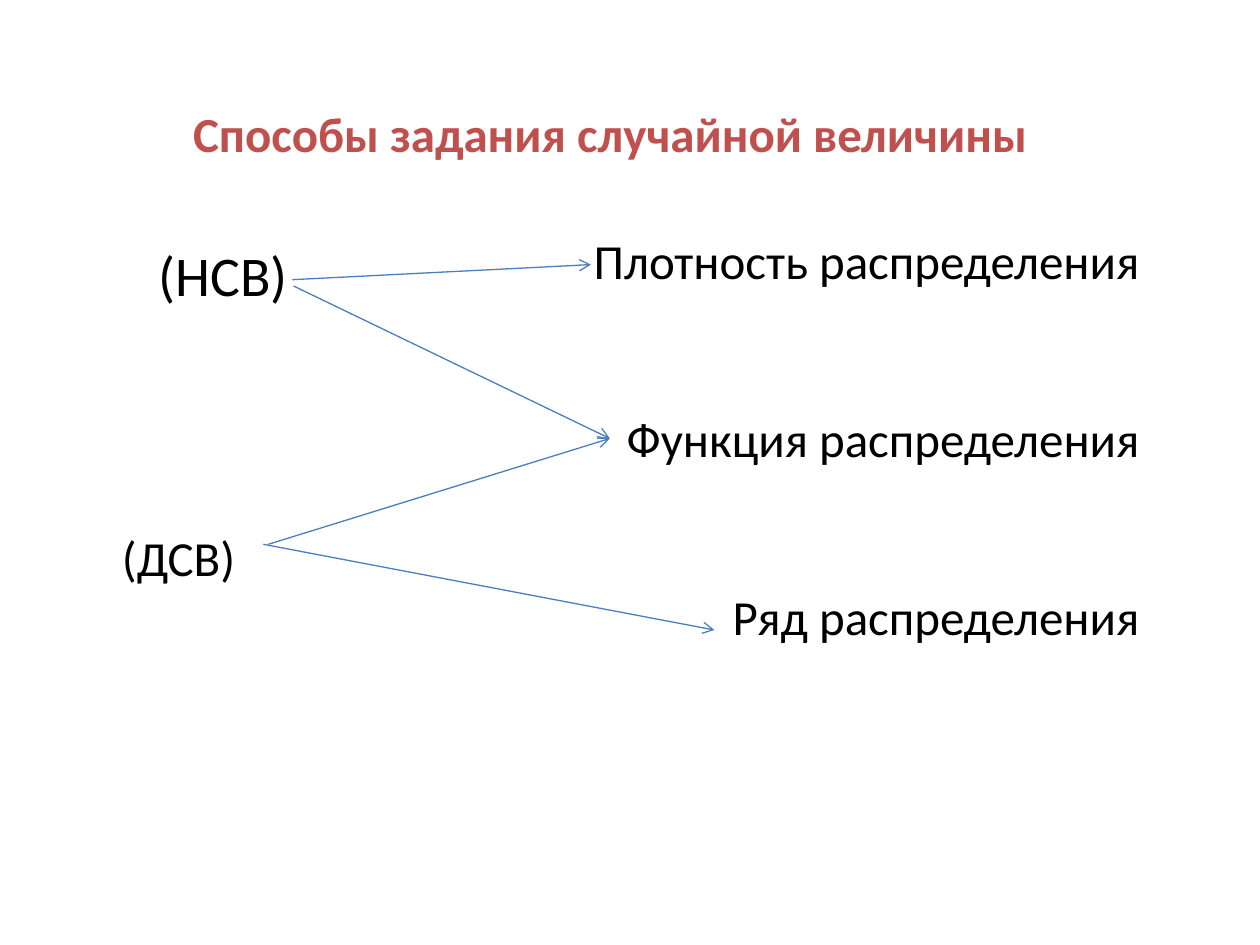
from lxml.etree import SubElement
from pptx import Presentation
from pptx.dml.color import RGBColor
from pptx.enum.shapes import MSO_CONNECTOR
from pptx.enum.text import MSO_ANCHOR, MSO_AUTO_SIZE, PP_ALIGN
from pptx.oxml.ns import qn
from pptx.util import Inches, Pt

RED = RGBColor(0xC0, 0x50, 0x4D)
BLACK = RGBColor(0x00, 0x00, 0x00)
BLUE = RGBColor(0x4B, 0x7E, 0xBC)
FONT = "Calibri"
LINE_HEIGHT = 34.2  # points, one line of 28 pt text


def write_paragraph(para, text, *, size=28, color=BLACK, bold=False,
                    align=PP_ALIGN.LEFT, lines_before=0):
    para.alignment = align
    para.space_before = Pt(lines_before * LINE_HEIGHT)
    span = para.add_run()
    span.text = text
    span.font.name = FONT
    span.font.size = Pt(size)
    span.font.bold = bold
    span.font.color.rgb = color


def place(shape, left, top, width, height):
    shape.left, shape.top = Inches(left), Inches(top)
    shape.width, shape.height = Inches(width), Inches(height)


def add_title(page, text):
    title = page.shapes.title
    place(title, 0.59, 0.25, 8.5, 1.61)
    frame = title.text_frame
    frame.auto_size = MSO_AUTO_SIZE.NONE
    frame.vertical_anchor = MSO_ANCHOR.MIDDLE
    write_paragraph(frame.paragraphs[0], text, color=RED, bold=True,
                    align=PP_ALIGN.CENTER)


def add_text_box(page, bounds, paragraphs, margin_left=0.1):
    """Add a box holding (text, format) pairs, one for each paragraph."""
    box = page.shapes.add_textbox(*map(Inches, bounds))
    frame = box.text_frame
    frame.word_wrap = True
    frame.margin_left = Inches(margin_left)
    for index, (text, style) in enumerate(paragraphs):
        para = frame.add_paragraph() if index else frame.paragraphs[0]
        write_paragraph(para, text, **style)


def add_arrow(page, start, end):
    arrow = page.shapes.add_connector(
        MSO_CONNECTOR.STRAIGHT, *map(Inches, start + end))
    arrow.line.color.rgb = BLUE
    arrow.line.width = Pt(0.75)
    SubElement(arrow.line._get_or_add_ln(), qn("a:tailEnd"), type="arrow")
    SubElement(arrow._element.spPr, qn("a:effectLst"))


def main():
    deck = Presentation()
    deck.slide_width, deck.slide_height = Inches(10), Inches(7.5)
    page = deck.slides.add_slide(deck.slide_layouts.get_by_name("Title Only"))

    add_title(page, "Способы задания случайной величины")
    add_text_box(page, (1.06, 1.86, 7.87, 1.18),
                 [("(НСВ)", dict(size=32))], margin_left=0.2)
    right = PP_ALIGN.RIGHT
    add_text_box(page, (0.87, 1.78, 8.27, 3.87), [
        ("Плотность распределения", dict(align=right)),
        ("Функция распределения", dict(align=right, lines_before=2)),
        ("(ДСВ)", dict(align=PP_ALIGN.JUSTIFY, lines_before=1)),
        ("Ряд распределения", dict(align=right)),
    ])

    distribution_function = (4.84, 3.48)
    for start, end in [
        ((2.32, 2.22), (4.69, 2.1)),
        ((2.09, 4.32), (5.67, 5)),
        ((2.13, 4.32), distribution_function),
        ((2.33, 2.27), distribution_function),
    ]:
        add_arrow(page, start, end)

    deck.save("out.pptx")


if __name__ == "__main__":
    main()
